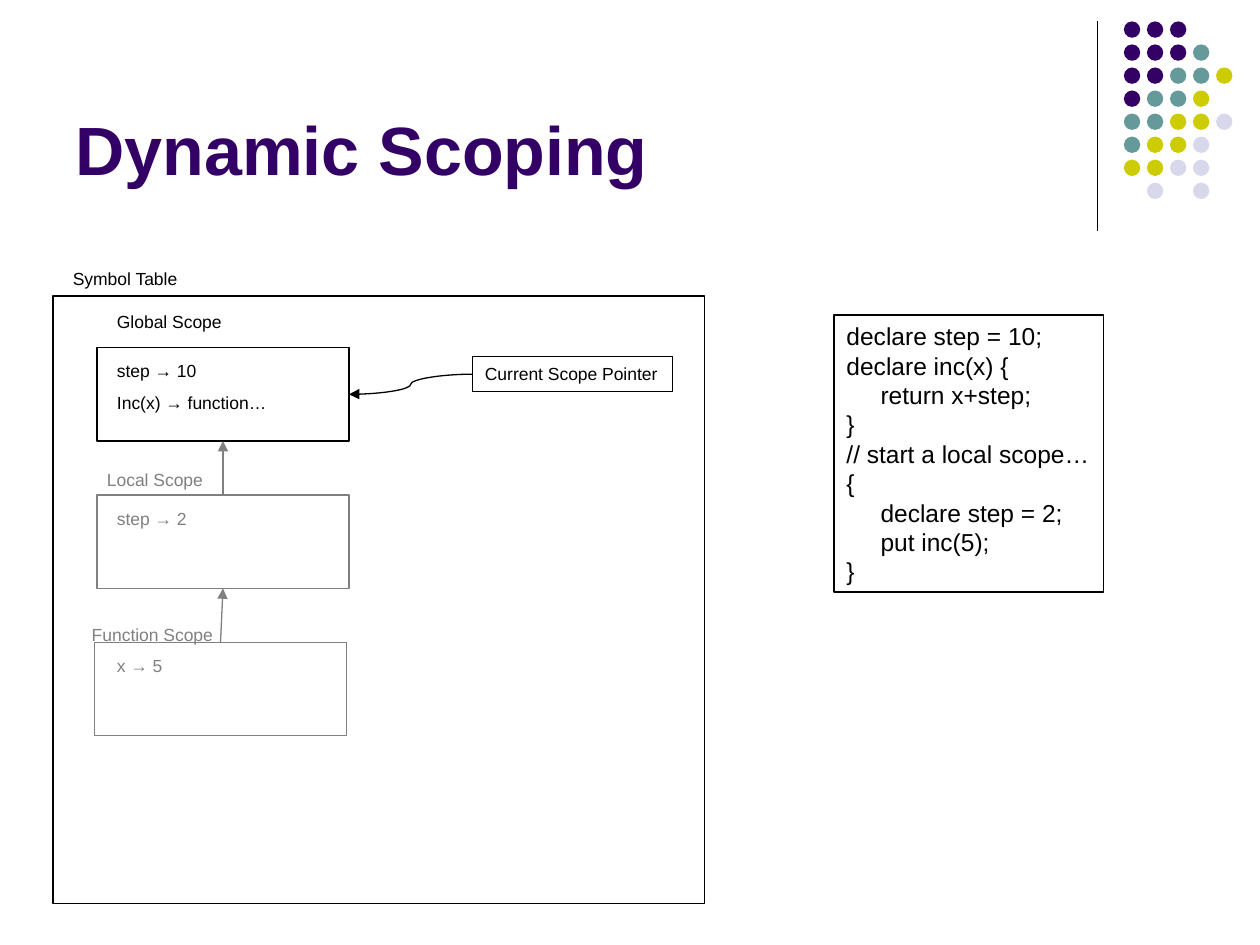
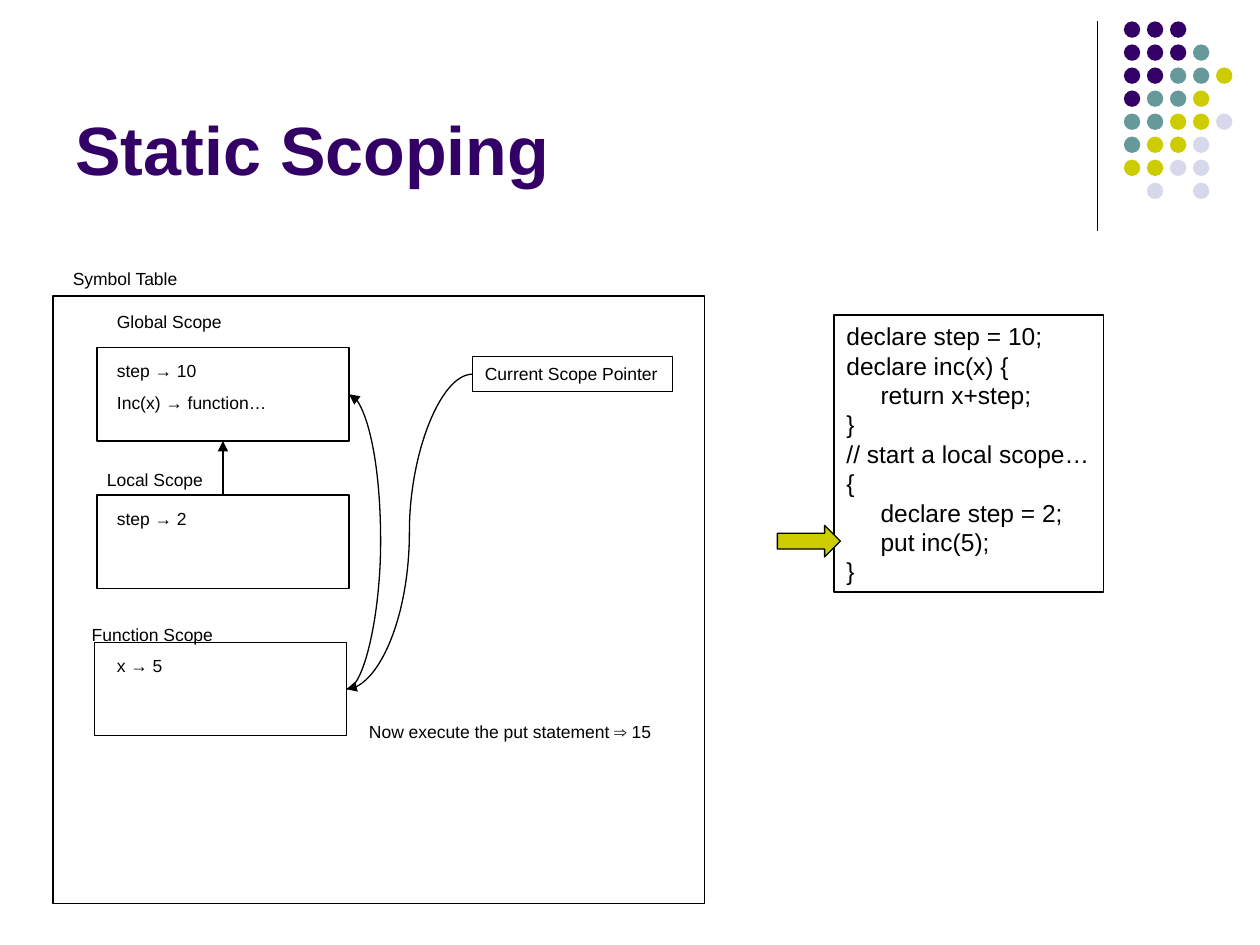
from lxml.etree import SubElement
from pptx import Presentation
from pptx.dml.color import RGBColor
from pptx.enum.shapes import MSO_CONNECTOR as Link, MSO_SHAPE as Shape
from pptx.enum.text import MSO_ANCHOR as Anchor, MSO_AUTO_SIZE as AutoSize, PP_ALIGN as Align
from pptx.oxml.ns import qn
from pptx.util import Inches, Pt

# Shared style
FONT = "Arial"
BLACK, GREY, PURPLE, LIME = "000000", "808080", "330066", "CCCC00"
DOT_COLORS = {"P": PURPLE, "T": "669999", "L": LIME, "G": "D8D8EC"}
DOT_ROWS = ["PPP", "PPPT", "PPTTL", "PTTL", "TTLLG", "TLLG", "LLGG", " G G"]
DOT_PITCH = 1.28 / 7
LABEL_HEIGHT = 0.27
SCOPE_WIDTH, SCOPE_HEIGHT = 2, 0.74

# Code lines with their indent level
CODE = [
    (0, "declare step = 10;"),
    (0, "declare inc(x) {"),
    (1, "return x+step;"),
    (0, "}"),
    (0, "// start a local scope…"),
    (0, "{"),
    (1, "declare step = 2;"),
    (1, "put inc(5);"),
    (0, "}"),
]


def rgb(color):
    return RGBColor.from_string(color)


def inches(*lengths):
    return [Inches(length) for length in lengths]


def write(shape, lines, size, color=BLACK, bold=False):
    """Fill a shape with left-aligned (indent level, text) lines."""
    frame = shape.text_frame
    frame.text = "\n".join(text for _, text in lines)
    frame.word_wrap = False
    frame.auto_size = AutoSize.SHAPE_TO_FIT_TEXT
    frame.vertical_anchor = Anchor.TOP
    for paragraph, (level, _) in zip(frame.paragraphs, lines):
        paragraph.alignment = Align.LEFT
        if level:
            properties = paragraph._p.get_or_add_pPr()
            properties.set("marL", str(Inches(0.27 * level)))
            properties.set("indent", "0")
        for run in paragraph.runs:
            run.font.name = FONT
            run.font.size = Pt(size)
            run.font.bold = bold
            run.font.color.rgb = rgb(color)


def add_label(slide, left, top, width, text, color=BLACK):
    label = slide.shapes.add_textbox(*inches(left, top, width, LABEL_HEIGHT))
    write(label, [(0, text)], 10, color)


def add_figure(slide, kind, left, top, width, height, line=None, fill=None):
    figure = slide.shapes.add_shape(kind, *inches(left, top, width, height))
    figure.shadow.inherit = False
    if fill:
        figure.fill.solid()
        figure.fill.fore_color.rgb = rgb(fill)
    else:
        figure.fill.background()
    if line:
        figure.line.color.rgb = rgb(line)
        figure.line.width = Pt(0.75)
    else:
        figure.line.fill.background()
    return figure


def add_link(slide, start, end, color=BLACK, arrow=True, bend_x=None):
    """Draw a straight line, or a curve whose middle lies at bend_x."""
    kind = Link.STRAIGHT if bend_x is None else Link.CURVE
    link = slide.shapes.add_connector(kind, *inches(*start, *end))
    link.line.color.rgb = rgb(color)
    link.line.width = Pt(0.75)
    properties = link._element.spPr
    if arrow:
        SubElement(link.line._get_or_add_ln(), qn("a:tailEnd"), type="triangle")
    SubElement(properties, qn("a:effectLst"))
    if bend_x is not None:
        share = (bend_x - start[0]) / (end[0] - start[0])
        adjustments = properties.find(qn("a:prstGeom")).get_or_add_avLst()
        SubElement(adjustments, qn("a:gd"), name="adj1",
                   fmla=f"val {round(share * 100000)}")


def add_header(slide, title):
    # Corner rule and dot grid
    add_link(slide, (8.71, 0.17), (8.71, 1.83), arrow=False)
    for row, codes in enumerate(DOT_ROWS):
        for column, code in enumerate(codes):
            if code in DOT_COLORS:
                add_figure(slide, Shape.OVAL, 8.92 + column * DOT_PITCH,
                           0.17 + row * DOT_PITCH, 0.13, 0.13,
                           fill=DOT_COLORS[code])
    # Title
    heading = slide.shapes.add_textbox(*inches(0.5, 0.13, 8.25, 1.42))
    write(heading, [(0, title)], 39, PURPLE, bold=True)
    heading.text_frame.word_wrap = True
    heading.text_frame.auto_size = AutoSize.NONE
    heading.text_frame.vertical_anchor = Anchor.BOTTOM


def add_scope(slide, left, top, name, name_at, entries, color=BLACK):
    """Draw a scope box; name_at is the left, top and width of its label."""
    add_figure(slide, Shape.RECTANGLE, left, top, SCOPE_WIDTH, SCOPE_HEIGHT, line=color)
    add_label(slide, *name_at, name, color)
    for row, (entry, width) in enumerate(entries):
        add_label(slide, 0.83, top + 0.05 + row * 0.25, width, entry, color)


def add_scoping_slide(deck, title, inner_color):
    slide = deck.slides.add_slide(deck.slide_layouts[6])
    add_header(slide, title)

    # Symbol table with its scopes
    add_figure(slide, Shape.RECTANGLE, 0.42, 2.35, 5.17, 4.82, line=BLACK)
    add_label(slide, 0.48, 2.08, 1.05, "Symbol Table")
    add_scope(slide, 0.77, 2.76, "Global Scope", (0.83, 2.42, 1.03),
              [("step → 10", 0.83), ("Inc(x) → function…", 1.39)])
    add_scope(slide, 0.77, 3.93, "Local Scope", (0.75, 3.67, 1.01),
              [("step → 2", 0.76)], inner_color)
    add_scope(slide, 0.75, 5.1, "Function Scope", (0.63, 4.9, 1.2),
              [("x → 5", 0.56)], inner_color)
    add_link(slide, (1.77, 3.93), (1.77, 3.5), inner_color)

    # Current scope pointer
    pointer = add_figure(slide, Shape.RECTANGLE, 3.75, 2.83, 1.59, 0.28, line=BLACK)
    write(pointer, [(0, "Current Scope Pointer")], 10)

    # Program listing
    listing = add_figure(slide, Shape.RECTANGLE, 6.62, 2.5, 2.14, 2.2, line=BLACK)
    write(listing, CODE, 14)
    return slide


def main():
    deck = Presentation()
    deck.slide_width, deck.slide_height = inches(10, 7.5)
    pointer_side, global_side, function_side = (3.75, 2.97), (2.77, 3.13), (2.75, 5.47)

    # Dynamic scoping: inner scopes are already closed
    dynamic = add_scoping_slide(deck, "Dynamic Scoping", GREY)
    add_link(dynamic, (1.75, 5.1), (1.77, 4.67), GREY)
    add_link(dynamic, pointer_side, global_side, bend_x=3.26)

    # Static scoping: the function scope links to the global scope
    static = add_scoping_slide(deck, "Static Scoping", BLACK)
    add_link(static, pointer_side, function_side, bend_x=3.25)
    add_link(static, function_side, global_side, bend_x=3.02)
    add_figure(static, Shape.RIGHT_ARROW, 6.17, 4.17, 0.5, 0.25, line=BLACK, fill=LIME)
    add_label(static, 2.83, 5.67, 2.48, "Now execute the put statement ⇒ 15")

    deck.save("out.pptx")


if __name__ == "__main__":
    main()
